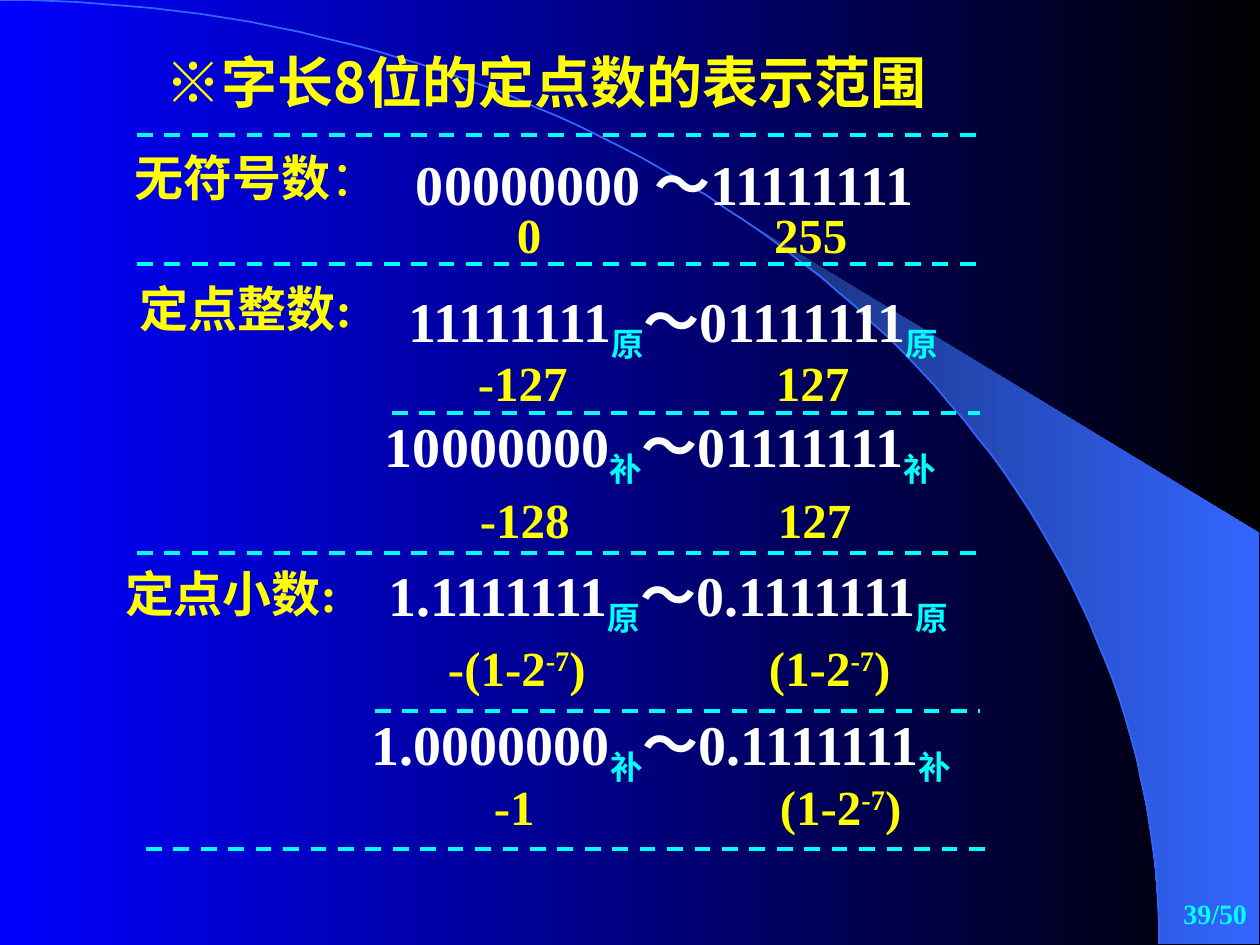
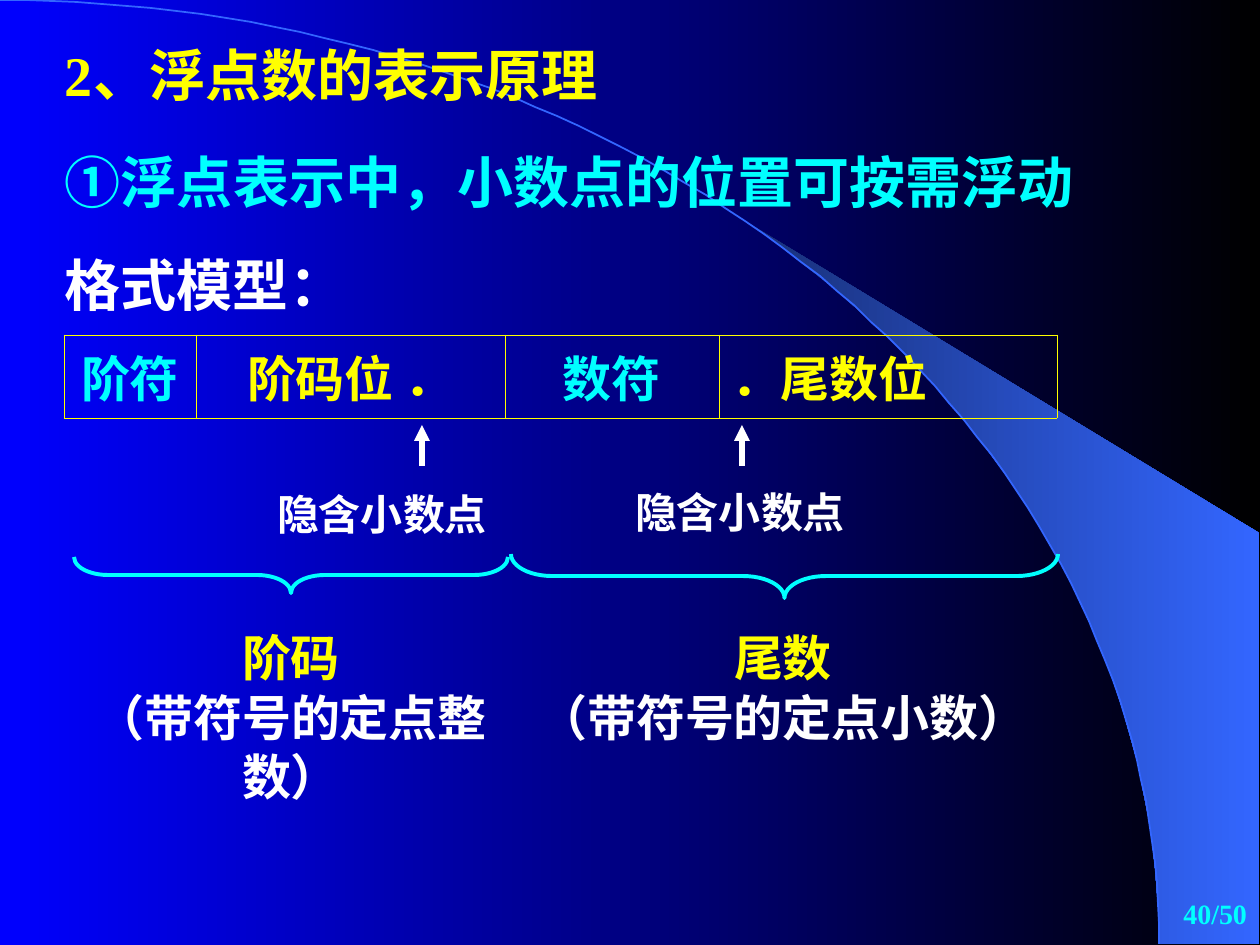
import math

import pptx
import pptx.dml.color
import pptx.enum.dml
import pptx.enum.shapes
import pptx.enum.text
import pptx.oxml
import pptx.oxml.ns
import pptx.oxml.xmlchemy
import pptx.util

SCALE = 914400 / 126
WIDTH, HEIGHT = 1260, 945
COLORS = {
    "blue": "0000FF",
    "black": "000000",
    "navy": "182F76",
    "sky": "3366FF",
    "yellow": "FFFF00",
    "cyan": "00FFFF",
    "white": "FFFFFF",
}
SERIF = "Times New Roman"
SANS = "Noto Sans CJK SC"
ALIGN = pptx.enum.text.PP_ALIGN
ANCHOR = pptx.enum.text.MSO_ANCHOR
SHAPE = pptx.enum.shapes.MSO_SHAPE
WIDE_INSET = (13, 6)
SLIM_INSET = (8, 1)


def px(length):
    return pptx.util.Emu(round(length * SCALE))


def color(name):
    return pptx.dml.color.RGBColor.from_string(COLORS[name])


def add_xml(parent, tag, **attributes):
    child = pptx.oxml.xmlchemy.OxmlElement(tag)
    for key, value in attributes.items():
        child.set(key, str(value))
    parent.append(child)
    return child


def fill_gradient(fill, start, end):
    fill.gradient()
    fill.gradient_angle = 0
    for stop, name in zip(fill.gradient_stops, (start, end)):
        stop.color.rgb = color(name)


def add_run(paragraph, text, size, ink, latin=SERIF, bold=True, baseline=0):
    run = paragraph.add_run()
    run.text = text
    run.font.size = pptx.util.Pt(size)
    run.font.bold = bold
    run.font.name = latin
    run.font.color.rgb = color(ink)
    properties = run.font._element
    add_xml(properties, "a:ea", typeface=SANS)
    if baseline:
        properties.set("baseline", str(baseline * 1000))


def set_frame(frame, inset=WIDE_INSET, anchor=ANCHOR.TOP):
    frame.word_wrap = True
    frame.auto_size = pptx.enum.text.MSO_AUTO_SIZE.NONE
    frame.vertical_anchor = anchor
    frame.margin_left = frame.margin_right = px(inset[0])
    frame.margin_top = frame.margin_bottom = px(inset[1])


def set_paragraph(paragraph, align=ALIGN.LEFT, pitch=None, before=0):
    paragraph.alignment = align
    paragraph.space_before = pptx.util.Pt(before)
    if pitch:
        paragraph.line_spacing = pptx.util.Pt(pitch)


def add_text(slide, box, lines, align=ALIGN.LEFT, pitch=None, gap=0,
             inset=WIDE_INSET, anchor=ANCHOR.TOP):
    frame = slide.shapes.add_textbox(*map(px, box)).text_frame
    set_frame(frame, inset, anchor)
    for index, runs in enumerate(lines):
        paragraph = frame.paragraphs[0] if index == 0 else frame.add_paragraph()
        set_paragraph(paragraph, align, pitch, gap if index else 0)
        for run in runs:
            add_run(paragraph, *run)
    return frame


def add_line(slide, start, end, ink, weight, dashed=False, arrow=False):
    line = slide.shapes.add_connector(
        pptx.enum.shapes.MSO_CONNECTOR.STRAIGHT, *map(px, start + end))
    line.line.color.rgb = color(ink)
    line.line.width = pptx.util.Pt(weight)
    if dashed:
        line.line.dash_style = pptx.enum.dml.MSO_LINE.DASH
    if arrow:
        add_xml(line.line._get_or_add_ln(), "a:tailEnd", type="triangle")
    add_xml(line._element.spPr, "a:effectLst")


def trace(slide, points, closed):
    builder = slide.shapes.build_freeform(*points[0], scale=SCALE)
    builder.add_line_segments(points[1:], close=closed)
    outline = builder.convert_to_shape()
    outline.shadow.inherit = False
    return outline


def arc_points(start, steps, radius_x=1159, radius_y=944):
    angles = [start + (math.pi / 2 - start) * i / steps for i in range(steps + 1)]
    return [(radius_x * math.sin(a), radius_y * (1 - math.cos(a))) for a in angles]


def add_backdrop(slide):
    fill_gradient(slide.background.fill, "blue", "black")
    beam_edge = arc_points(math.asin(0.64), 32)
    beam = trace(slide, beam_edge + [(1259, 944), (1259, 533)], True)
    fill_gradient(beam.fill, "navy", "sky")
    beam.line.fill.background()
    horizon = trace(slide, arc_points(0, 72), False)
    horizon.fill.background()
    horizon.line.color.rgb = color("sky")
    horizon.line.width = pptx.util.Pt(1)


def add_title(slide, box, text, latin, align):
    title = slide.shapes.title
    title.left, title.top, title.width, title.height = map(px, box)
    set_frame(title.text_frame)
    paragraph = title.text_frame.paragraphs[0]
    set_paragraph(paragraph, align, 42)
    add_run(paragraph, text, 32, "yellow", latin)
    slide.shapes.element.append(title.element)


def start_slide(deck, page, title_box, title, latin, align):
    slide = deck.slides.add_slide(deck.slide_layouts[5])
    add_backdrop(slide)
    add_title(slide, title_box, title, latin, align)
    add_text(slide, (998, 882, 262, 63), [[(f"{page}/50", 16, "cyan")]],
             ALIGN.RIGHT, anchor=ANCHOR.MIDDLE)
    return slide


def add_code_range(slide, box, low, high, code):
    suffix = (code, 32, "cyan", SERIF, True, -25)
    add_text(slide, box, [[(low, 32, "white"), suffix,
                           ("～" + high, 32, "white"), suffix]], pitch=45)


def add_value_pair(slide, box, low, high, high_x):
    def value_runs(text):
        base, mark, tail = text.partition("-7)")
        runs = [(base, 28, "yellow")]
        if mark:
            runs += [("-7", 28, "yellow", SERIF, True, 30),
                     (")" + tail, 28, "yellow")]
        return runs

    frame = add_text(slide, box,
                     [value_runs(low) + [("\t", 28, "yellow")] + value_runs(high)],
                     pitch=34)
    tabs = add_xml(frame.paragraphs[0]._p.get_or_add_pPr(), "a:tabLst")
    add_xml(tabs, "a:tab", pos=px(high_x - box[0] - WIDE_INSET[0]), algn="l")


def build_fixed_point_slide(deck):
    slide = start_slide(deck, 39, (96, 35, 901, 81),
                        "※字长8位的定点数的表示范围", SANS, ALIGN.CENTER)
    labels = [
        ((122, 137, 292, 72), [("无符号数", 28, "yellow"),
                               ("：", 28, "yellow", SERIF, False)]),
        ((127, 268, 305, 72), [("定点整数", 28, "yellow", SANS),
                               (":", 28, "yellow")]),
        ((112, 553, 284, 72), [("定点小数:", 28, "yellow")]),
    ]
    for box, runs in labels:
        add_text(slide, box, [runs], pitch=36)

    add_text(slide, (403, 135, 587, 81),
             [[("00000000 ～11111111", 32, "white")]], pitch=43)
    ranges = [
        ((396, 278, 655, 89), "11111111", "01111111", "原"),
        ((372, 403, 646, 89), "10000000", "01111111", "补"),
        ((375, 552, 684, 89), "1.1111111", "0.1111111", "原"),
        ((359, 701, 708, 89), "1.0000000", "0.1111111", "补"),
    ]
    for box, low, high, code in ranges:
        add_code_range(slide, box, low, high, code)

    values = [
        ((504, 198, 410, 72), "0", "255", 774),
        ((465, 346, 430, 72), "-127", "127", 776),
        ((467, 483, 456, 72), "-128", "127", 778),
        ((435, 631, 546, 72), "-(1-2-7)", "(1-2-7)", 769),
        ((481, 770, 532, 72), "-1", "(1-2-7)", 780),
    ]
    for box, low, high, high_x in values:
        add_value_pair(slide, box, low, high, high_x)

    rules = [(137, 980, 135), (137, 980, 264), (392, 980, 413),
             (137, 980, 553), (375, 980, 711), (146, 989, 849)]
    for left, right, y in rules:
        add_line(slide, (left, y), (right, y), "cyan", 2.25, dashed=True)


def add_format_table(slide, box):
    columns = [
        (132, "阶符", "cyan", ALIGN.CENTER),
        (309, "阶码位 ．", "yellow", ALIGN.CENTER),
        (214, "数符", "cyan", ALIGN.CENTER),
        (338, "．尾数位", "yellow", ALIGN.LEFT),
    ]
    table = slide.shapes.add_table(1, len(columns), *map(px, box)).table
    table.first_row = table.horz_banding = False
    for index, (width, text, ink, align) in enumerate(columns):
        table.columns[index].width = px(width)
        cell = table.cell(0, index)
        cell.vertical_anchor = ANCHOR.MIDDLE
        cell.margin_left = cell.margin_right = px(WIDE_INSET[0])
        cell.margin_top = cell.margin_bottom = px(WIDE_INSET[1])
        paragraph = cell.text_frame.paragraphs[0]
        set_paragraph(paragraph, align)
        add_run(paragraph, text, 28, ink, SANS)
        properties = cell._tc.get_or_add_tcPr()
        for side in ("a:lnL", "a:lnR", "a:lnT", "a:lnB"):
            border = add_xml(properties, side, w=pptx.util.Pt(0.45))
            paint = add_xml(border, "a:solidFill")
            add_xml(paint, "a:srgbClr", val=COLORS["yellow"])
        cell.fill.background()


def add_point_note(slide, box, arrow_x):
    add_text(slide, box, [[("隐含小数点", 24, "white")]], ALIGN.CENTER,
             pitch=31, inset=SLIM_INSET)
    add_line(slide, (arrow_x, 466), (arrow_x, 425), "white", 3, arrow=True)


def add_brace(slide, box):
    left, top, width, height = box
    brace = slide.shapes.add_shape(
        SHAPE.LEFT_BRACE, px(left + (width - height) / 2),
        px(top + (height - width) / 2), px(height), px(width))
    brace.rotation = 270
    brace.adjustments[0] = 0.94
    brace.shadow.inherit = False
    brace.fill.background()
    brace.line.color.rgb = color("cyan")
    brace.line.width = pptx.util.Pt(2.25)


def add_part_caption(slide, box, part, meaning):
    add_text(slide, box, [[(part, 28, "yellow")], [(meaning, 28, "white")]],
             ALIGN.CENTER, pitch=34, inset=SLIM_INSET)


def build_floating_point_slide(deck):
    slide = start_slide(deck, 40, (52, 28, 1183, 90),
                        "2、浮点数的表示原理", SERIF, ALIGN.LEFT)
    add_text(slide, (52, 135, 1183, 190), [
        [("①", 32, "cyan", SANS),
         ("浮点表示中，小数点的位置可按需浮动", 32, "cyan")],
        [("格式模型：", 32, "white")],
    ], pitch=42, gap=17)
    add_format_table(slide, (64, 335, 993, 83))
    add_point_note(slide, (263, 484, 238, 67), 422)
    add_point_note(slide, (621, 482, 238, 67), 742)
    add_brace(slide, (74, 557, 434, 36))
    add_brace(slide, (511, 554, 547, 44))
    add_part_caption(slide, (48, 626, 486, 180), "阶码", "（带符号的定点整数）")
    add_part_caption(slide, (519, 626, 528, 158), "尾数", "（带符号的定点小数）")


def main():
    deck = pptx.Presentation()
    deck.slide_width, deck.slide_height = px(WIDTH), px(HEIGHT)
    build_fixed_point_slide(deck)
    build_floating_point_slide(deck)
    deck.save("out.pptx")


if __name__ == "__main__":
    main()
